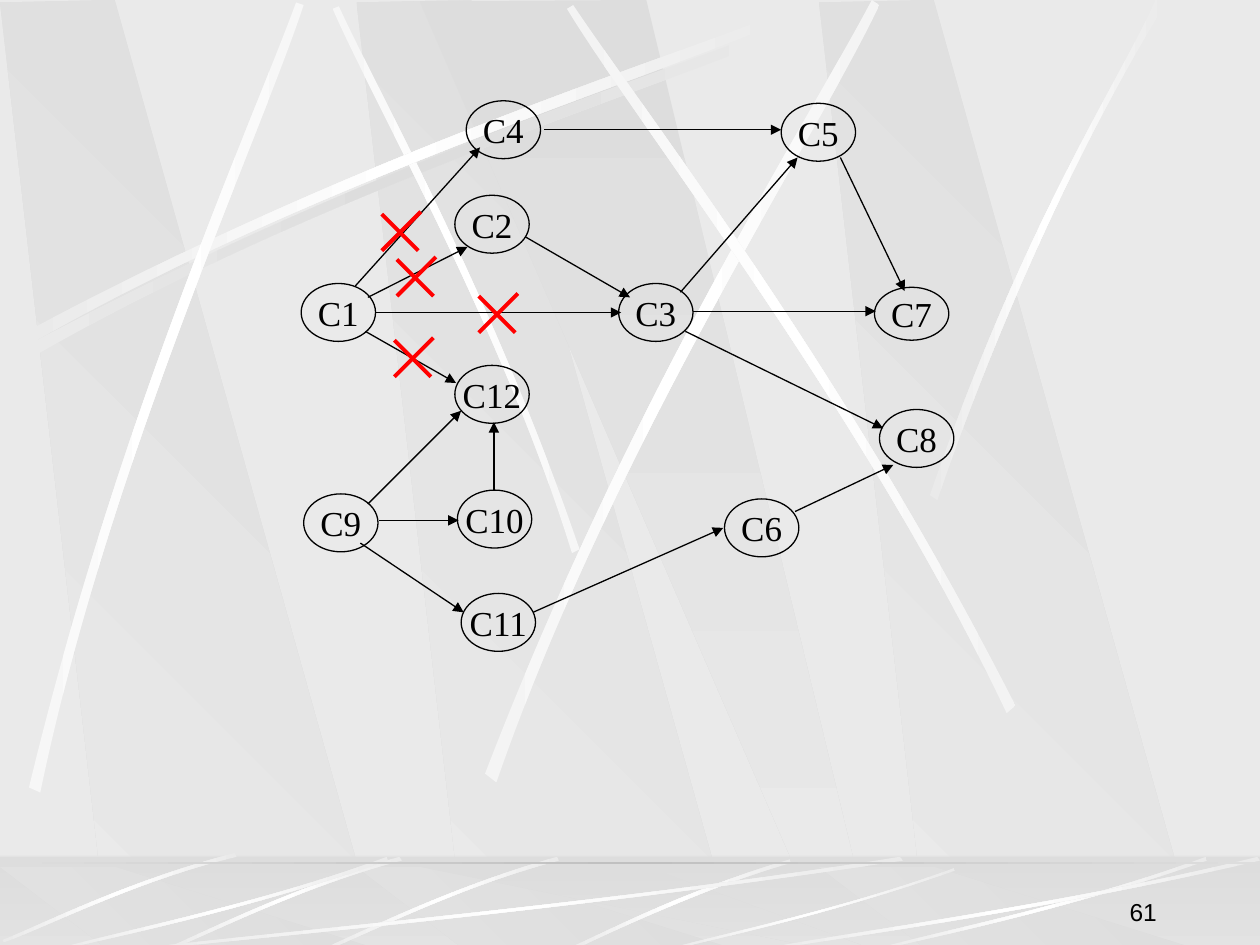
from copy import deepcopy
from lxml.etree import SubElement
from pptx import Presentation
from pptx.dml.color import RGBColor
from pptx.enum.shapes import MSO_CONNECTOR, MSO_SHAPE
from pptx.enum.text import MSO_ANCHOR, PP_ALIGN
from pptx.oxml.ns import qn
from pptx.util import Inches, Pt

BLACK = RGBColor(0x00, 0x00, 0x00)
RED = RGBColor(0xFF, 0x00, 0x00)
WHITE = RGBColor(0xFF, 0xFF, 0xFF)
PALE = RGBColor(0xEA, 0xEA, 0xEA)
SHADE = RGBColor(0xDD, 0xDD, 0xDD)
SILVER = RGBColor(0xC0, 0xC0, 0xC0)

prs = Presentation()
prs.slide_width, prs.slide_height = Inches(10), Inches(7.5)
COL, ROW = prs.slide_width / 10, prs.slide_height / 7.5
master = prs.slide_master
master.background.fill.solid()
master.background.fill.fore_color.rgb = PALE
slide = prs.slides.add_slide(prs.slide_layouts[6])
backdrop = slide.shapes.add_group_shape()


def paint(shape, colours, clockwise):
    shape.shadow.inherit = False
    shape.line.fill.background()
    shape.fill.gradient()
    shape.fill.gradient_angle = (360 - clockwise) % 360
    stop_list = shape._element.spPr.find(qn("a:gradFill")).find(qn("a:gsLst"))
    for _ in colours[2:]:
        stop_list.append(deepcopy(stop_list[0]))
    for i, (stop, colour) in enumerate(zip(shape.fill.gradient_stops, colours)):
        stop.color.rgb = colour
        stop.position = i / (len(colours) - 1)


def outline(points, colours, clockwise):
    corners = [(x * COL, y * ROW) for x, y in points]
    builder = backdrop.shapes.build_freeform(*corners[0], scale=1.0)
    builder.add_line_segments(corners[1:], close=True)
    shape = builder.convert_to_shape()
    paint(shape, colours, clockwise)
    return shape


wall_panel = [(0.86, 7.5), (3.02, 7.52), (0.91, 0), (0, 0.02)]
wall_shaft = [(3.33, 0.01), (6.58, 7.51), (6.94, 7.51), (5.13, 0)]
floor_panel = [(0.86, 7.54), (3.02, 7.54), (0.91, 6.88), (0, 6.88)]
floor_shaft = [(3.33, 6.88), (6.58, 7.54), (6.94, 7.54), (5.13, 6.88)]

# fmt: off
wall_beams = [
    (6.08, SHADE, [(0.2, 2.75), (2.84, 1.34), (5.24, 0.59), (6.26, 0.18), (6.29, 0.24), (5.28, 0.69), (2.54, 1.51), (0.23, 2.85)]),
    (4.42, WHITE, [(4.6, 4.36), (3.91, 2.34), (3.02, 0.77), (2.69, 0.05), (2.64, 0.07), (2.95, 0.79), (3.98, 2.58), (4.54, 4.39)]),
    (6.08, WHITE, [(0.14, 2.67), (2.78, 1.25), (5.18, 0.51), (6.2, 0.1), (6.23, 0.16), (5.22, 0.61), (2.48, 1.43), (0.17, 2.77)]),
    (6.08, WHITE, [(0.23, 6.25), (0.93, 3.34), (1.97, 1.05), (2.35, 0.02), (2.41, 0.04), (2.07, 1.08), (0.86, 3.68), (0.32, 6.29)]),
    (6.24, WHITE, [(3.85, 6.14), (4.98, 3.2), (6.38, 1.02), (6.92, 0), (6.98, 0.04), (6.49, 1.08), (4.86, 3.55), (3.94, 6.21)]),
    (6.08, WHITE, [(8.06, 5.6), (6.7, 2.93), (5.16, 0.95), (4.55, 0.04), (4.5, 0.07), (5.07, 1.01), (6.85, 3.25), (7.99, 5.66)]),
    (1.89, WHITE, [(7.38, 3.93), (8.14, 1.73), (8.88, 0.66), (9.17, 0), (9.27, 0), (8.36, 1.45), (7.69, 3.22), (7.44, 3.97)]),
]
floor_beams = [
    (1.8, WHITE, [(6.27, 6.82), (5.37, 7.09), (4.77, 7.42), (4.48, 7.54), (4.53, 7.55), (4.9, 7.37), (5.71, 7), (6.28, 6.85)]),
    (1.88, WHITE, [(4.42, 6.8), (3.55, 7.05), (2.87, 7.4), (2.56, 7.53), (2.57, 7.55), (2.88, 7.43), (3.65, 7.03), (4.44, 6.83)]),
    (1.88, WHITE, [(3.17, 6.8), (2.3, 7.05), (1.62, 7.4), (1.31, 7.53), (1.32, 7.55), (1.63, 7.43), (2.4, 7.03), (3.19, 6.83)]),
    (1.86, WHITE, [(1.86, 6.77), (0.99, 7), (0.33, 7.34), (0.02, 7.46), (0.03, 7.48), (0.34, 7.37), (1.1, 6.98), (1.88, 6.8)]),
    (6.17, WHITE, [(7.17, 6.83), (4.49, 7.23), (2.06, 7.44), (1.03, 7.55), (1, 7.54), (2.02, 7.41), (4.8, 7.18), (7.14, 6.8)]),
    (2.67, WHITE, [(3.08, 6.83), (1.93, 7.23), (0.88, 7.44), (0.43, 7.55), (0.42, 7.54), (0.86, 7.41), (2.06, 7.18), (3.07, 6.8)]),
    (2.31, WHITE, [(7.58, 6.91), (6.58, 7.26), (5.67, 7.45), (5.28, 7.55), (5.27, 7.54), (5.65, 7.43), (6.69, 7.22), (7.57, 6.89)]),
    (2.67, WHITE, [(9.58, 6.83), (8.43, 7.23), (7.38, 7.44), (6.93, 7.55), (6.92, 7.54), (7.36, 7.41), (8.56, 7.18), (9.57, 6.8)]),
    (4, WHITE, [(10, 6.83), (8.27, 7.23), (6.69, 7.44), (6.02, 7.55), (6, 7.54), (6.66, 7.41), (8.46, 7.18), (9.98, 6.8)]),
]
# fmt: on

for panel, shaft, beams in ((wall_panel, wall_shaft, wall_beams),
                            (floor_panel, floor_shaft, floor_beams)):
    on_floor = beams is floor_beams
    if on_floor:
        floor = backdrop.shapes.add_shape(
            MSO_SHAPE.RECTANGLE, 0, int(6.8 * ROW), prs.slide_width, int(0.75 * ROW))
        paint(floor, [SHADE, PALE], 90)
    for left in (2.83, 0, 6.5):
        outline([(left + x, y) for x, y in panel], [SHADE, PALE], 135)
    outline(shaft, [SHADE, PALE], 90)
    if on_floor:
        veil = backdrop.shapes.add_shape(
            MSO_SHAPE.RECTANGLE, 0, int(6.79 * ROW), prs.slide_width, int(0.75 * ROW))
        veil.shadow.inherit = False
        veil.line.fill.background()
        veil.fill.solid()
        veil.fill.fore_color.rgb = SHADE
        veil_colour = veil._element.spPr.find(qn("a:solidFill"))[0]
        SubElement(veil_colour, qn("a:alpha"), val="50000")
    for spread, glow, knots in beams:
        across = [x for x, _ in knots]
        share = min(1, (max(across) - min(across)) / spread)
        fade = RGBColor(*(round(g + (e - g) * share) for g, e in zip(glow, PALE)))
        beam = outline(knots, [fade, glow, fade], 180)
        sides = list(beam._element.iter(qn("a:lnTo")))
        for bend in (sides[:3], sides[4:]):
            bend[0].tag = qn("a:cubicBezTo")
            for side in bend[1:]:
                bend[0].append(side[0])
                side.getparent().remove(side)

horizon = backdrop.shapes.add_shape(
    MSO_SHAPE.RECTANGLE, 0, int(6.84 * ROW), prs.slide_width, int(0.02 * ROW))
paint(horizon, [SHADE, SILVER, SHADE], 180)

for number, part in enumerate(backdrop._element.iter(qn("p:cNvPr")), 100):
    part.set("id", str(number))
master.shapes._spTree.insert(2, backdrop._element)

graph = slide.shapes.add_group_shape()
crosses = slide.shapes.add_group_shape()

courses = [
    ("C1", 2.39, 2.25), ("C2", 3.61, 1.55), ("C3", 4.91, 2.25), ("C4", 3.7, 0.8),
    ("C5", 6.2, 0.82), ("C6", 5.75, 3.96), ("C7", 6.94, 2.28), ("C8", 6.98, 3.25),
    ("C9", 2.41, 3.92), ("C10", 3.63, 3.89), ("C11", 3.66, 4.71), ("C12", 3.61, 2.9),
]
for label, left, top in courses:
    height = 0.42 if label == "C7" else 0.46
    course = graph.shapes.add_shape(
        MSO_SHAPE.OVAL, int(left * COL), int(top * ROW), int(0.59 * COL), int(height * ROW))
    course.shadow.inherit = False
    course.fill.background()
    course.line.color.rgb = BLACK
    course.line.width = Pt(0.75)
    frame = course.text_frame
    frame.word_wrap = False
    frame.vertical_anchor = MSO_ANCHOR.MIDDLE
    name = frame.paragraphs[0]
    name.text = label
    name.alignment = PP_ALIGN.CENTER
    name.font.name = "Times New Roman"
    name.font.size = Pt(20)
    name.font.color.rgb = BLACK

prerequisites = [
    (2.98, 2.48, 4.93, 2.48), (2.92, 2.36, 3.71, 1.96), (4.17, 1.88, 5, 2.36),
    (2.82, 2.27, 3.81, 1.17), (4.32, 1.03, 6.2, 1.03), (5.4, 2.32, 6.33, 1.25),
    (5.5, 2.47, 6.95, 2.47), (6.67, 1.25, 7.18, 2.31), (2.9, 2.63, 3.62, 3.04),
    (2.92, 4, 3.66, 3.26), (3.01, 4.13, 3.64, 4.13), (3.92, 3.89, 3.92, 3.35),
    (2.86, 4.31, 3.68, 4.86), (4.23, 4.86, 5.74, 4.19), (6.31, 4.06, 7.09, 3.69),
    (5.44, 2.63, 7.01, 3.4),
]
strokes = [(graph, ends, BLACK, 0.75) for ends in prerequisites]
for x, y in ((3.03, 1.68), (3.15, 2.04), (3.8, 2.33), (3.13, 2.68)):
    strokes.append((crosses, (x, y + 0.02, x + 0.29, y + 0.31), RED, 2.25))
    strokes.append((crosses, (x + 0.31, y, x, y + 0.31), RED, 2.25))

for group, (x1, y1, x2, y2), colour, weight in strokes:
    stroke = group.shapes.add_connector(
        MSO_CONNECTOR.STRAIGHT, int(x1 * COL), int(y1 * ROW), int(x2 * COL), int(y2 * ROW))
    stroke.line.color.rgb = colour
    stroke.line.width = Pt(weight)
    if group is graph:
        SubElement(stroke.line._get_or_add_ln(), qn("a:tailEnd"), type="triangle")
    SubElement(stroke._element.spPr, qn("a:effectLst"))

page = slide.shapes.add_textbox(
    int(7.2 * COL), int(6.9 * ROW), int(2.08 * COL), int(0.5 * ROW)).text_frame
page.word_wrap = True
page.vertical_anchor = MSO_ANCHOR.BOTTOM
page_number = page.paragraphs[0]
page_number.text = "61"
page_number.alignment = PP_ALIGN.RIGHT
page_number.font.name = "Arial"
page_number.font.size = Pt(14)
page_number.font.color.rgb = BLACK

prs.save("out.pptx")
